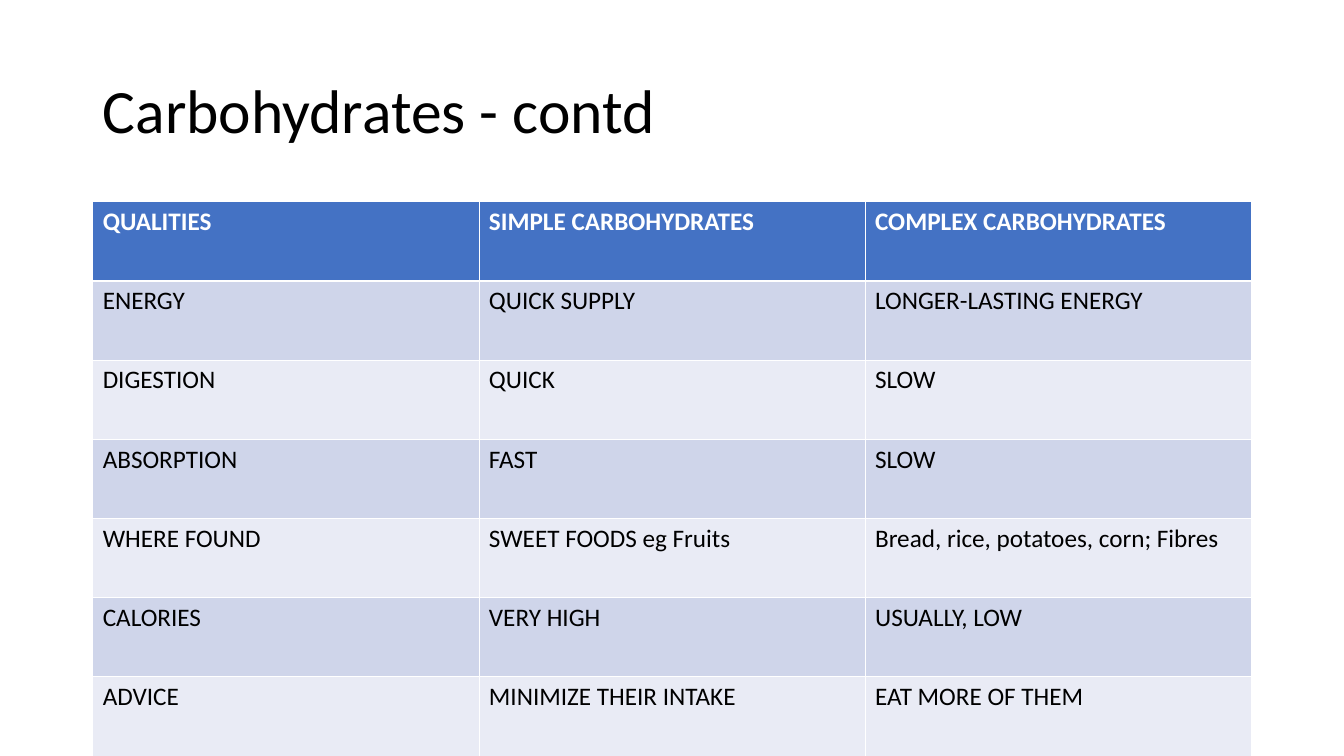
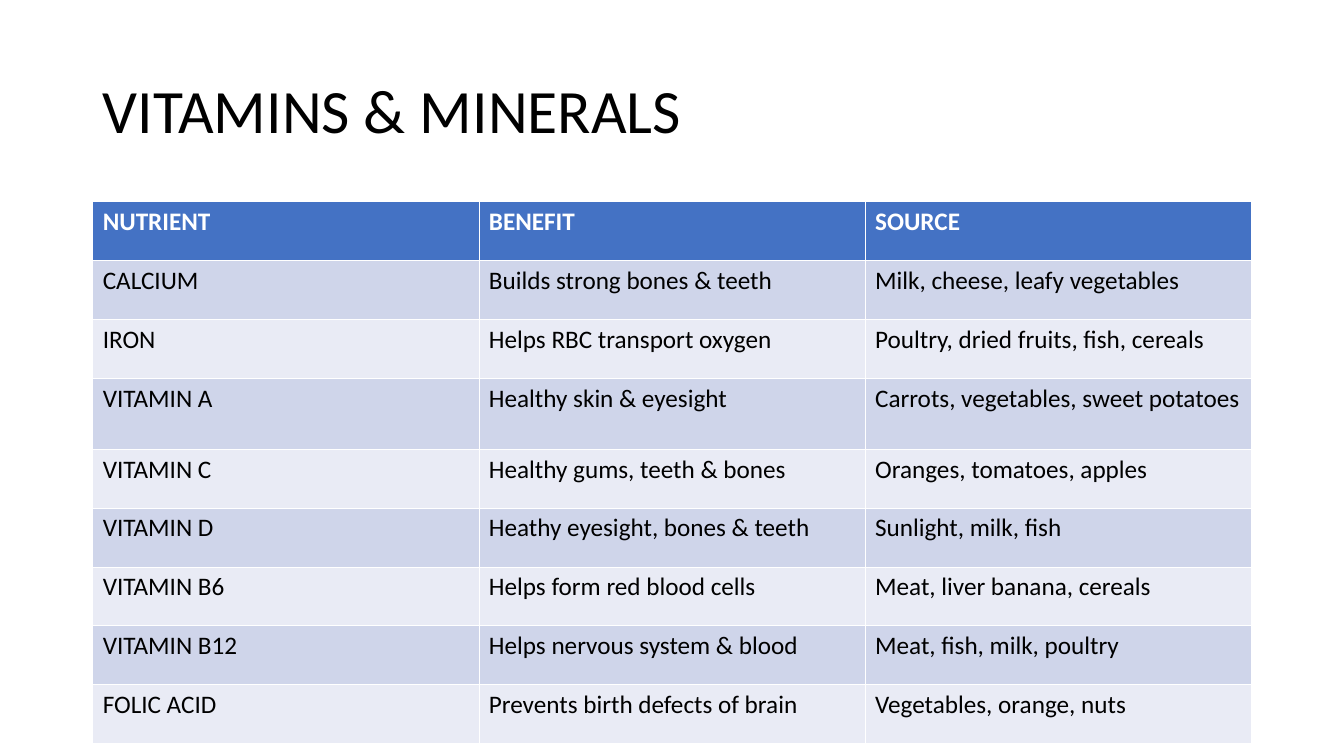
from dataclasses import dataclass, field

from lxml import etree
from pptx import Presentation
from pptx.dml.color import RGBColor
from pptx.enum import text
from pptx.oxml import ns
from pptx.util import Inches, Pt

COLORS = {
    "white": "FFFFFF",
    "black": "000000",
    "header": "4472C4",
    "band_dark": "CFD5EA",
    "band_light": "E9EBF5",
}
FONT = "Calibri"
LEFT, WIDTH = 0.92, 11.5
TITLE_TOP, TITLE_HEIGHT = 0.4, 1.45
TABLE_TOP = 2
THIN, THICK = 0.45, 1.47

TITLE_FONT = {"name": FONT, "size": Pt(44), "bold": False}
HEADER_FONT = {"name": FONT, "size": Pt(18), "bold": True}
BODY_FONT = {"name": FONT, "size": Pt(18), "bold": False}
TITLE_FRAME = {
    "word_wrap": True,
    "auto_size": text.MSO_AUTO_SIZE.NONE,
    "vertical_anchor": text.MSO_ANCHOR.MIDDLE,
}
TITLE_PARAGRAPH = {"alignment": text.PP_ALIGN.LEFT, "line_spacing": 0.9}


@dataclass
class TableSlide:
    title: str
    height: float
    rows: list[tuple[str, ...]]
    tall_rows: dict[int, float] = field(default_factory=dict)

    def row_height(self, index: int) -> float:
        shared = self.height - sum(self.tall_rows.values())
        regular = shared / (len(self.rows) - len(self.tall_rows))
        return self.tall_rows.get(index, regular)


SLIDES = [
    TableSlide(
        "Carbohydrates - contd",
        5.5,
        [
            ("QUALITIES", "SIMPLE CARBOHYDRATES", "COMPLEX CARBOHYDRATES"),
            ("ENERGY", "QUICK SUPPLY", "LONGER-LASTING ENERGY"),
            ("DIGESTION", "QUICK ", "SLOW"),
            ("ABSORPTION", "FAST", "SLOW"),
            ("WHERE FOUND", "SWEET FOODS eg Fruits", "Bread, rice, potatoes, corn; Fibres"),
            ("CALORIES ", "VERY HIGH", "USUALLY, LOW"),
            ("ADVICE", "MINIMIZE THEIR INTAKE", "EAT MORE OF THEM"),
        ],
    ),
    TableSlide(
        "VITAMINS & MINERALS",
        5.38,
        [
            ("NUTRIENT", "BENEFIT", "SOURCE"),
            ("CALCIUM", "Builds strong bones & teeth", "Milk, cheese, leafy vegetables"),
            ("IRON", "Helps RBC transport oxygen", "Poultry, dried fruits, fish, cereals"),
            ("VITAMIN A", "Healthy skin & eyesight", "Carrots, vegetables, sweet potatoes"),
            ("VITAMIN C", "Healthy gums, teeth & bones", "Oranges, tomatoes, apples"),
            ("VITAMIN D", "Heathy eyesight, bones & teeth", "Sunlight, milk, fish"),
            ("VITAMIN B6", "Helps form red blood cells", "Meat, liver banana, cereals"),
            ("VITAMIN B12", "Helps nervous system & blood", "Meat, fish, milk, poultry"),
            ("FOLIC ACID", "Prevents birth defects of brain", "Vegetables, orange, nuts"),
        ],
        {3: 0.7},
    ),
]


def apply(target, values: dict) -> None:
    for name, value in values.items():
        setattr(target, name, value)


def write(p, wording: str, font: dict, color: str) -> None:
    r = p.add_run()
    r.text = wording
    apply(r.font, font)
    r.font.color.rgb = RGBColor.from_string(COLORS[color])


def add_title(s, wording: str) -> None:
    sp = s.shapes.title
    apply(sp, {
        "left": Inches(LEFT),
        "top": Inches(TITLE_TOP),
        "width": Inches(WIDTH),
        "height": Inches(TITLE_HEIGHT),
    })
    tf = sp.text_frame
    apply(tf, TITLE_FRAME)
    p = tf.paragraphs[0]
    apply(p, TITLE_PARAGRAPH)
    write(p, wording, TITLE_FONT, "black")


def add_borders(cell, row: int) -> None:
    widths = {
        "lnL": THIN,
        "lnR": THIN,
        "lnT": THICK if row == 1 else THIN,
        "lnB": THICK if row == 0 else THIN,
    }
    properties = cell._tc.get_or_add_tcPr()
    for side, width in widths.items():
        line = etree.SubElement(properties, ns.qn(f"a:{side}"), w=str(int(Pt(width))))
        fill = etree.SubElement(line, ns.qn("a:solidFill"))
        etree.SubElement(fill, ns.qn("a:srgbClr"), val=COLORS["white"])


def format_cell(cell, row: int, wording: str) -> None:
    is_header = row == 0
    band = "header" if is_header else "band_dark" if row % 2 else "band_light"
    add_borders(cell, row)
    cell.fill.solid()
    cell.fill.fore_color.rgb = RGBColor.from_string(COLORS[band])
    write(
        cell.text_frame.paragraphs[0],
        wording,
        HEADER_FONT if is_header else BODY_FONT,
        "white" if is_header else "black",
    )


def add_grid(s, content: TableSlide) -> None:
    columns = len(content.rows[0])
    table = s.shapes.add_table(
        len(content.rows), columns,
        Inches(LEFT), Inches(TABLE_TOP), Inches(WIDTH), Inches(content.height),
    ).table
    for column in table.columns:
        column.width = Inches(WIDTH / columns)
    for i, row in enumerate(content.rows):
        table.rows[i].height = Inches(content.row_height(i))
        for j, wording in enumerate(row):
            format_cell(table.cell(i, j), i, wording)


def build() -> None:
    prs = Presentation()
    apply(prs, {"slide_width": Inches(13.34), "slide_height": Inches(7.5)})
    title_only = prs.slide_layouts[5]
    for content in SLIDES:
        s = prs.slides.add_slide(title_only)
        add_title(s, content.title)
        add_grid(s, content)
    prs.save("out.pptx")


build()
